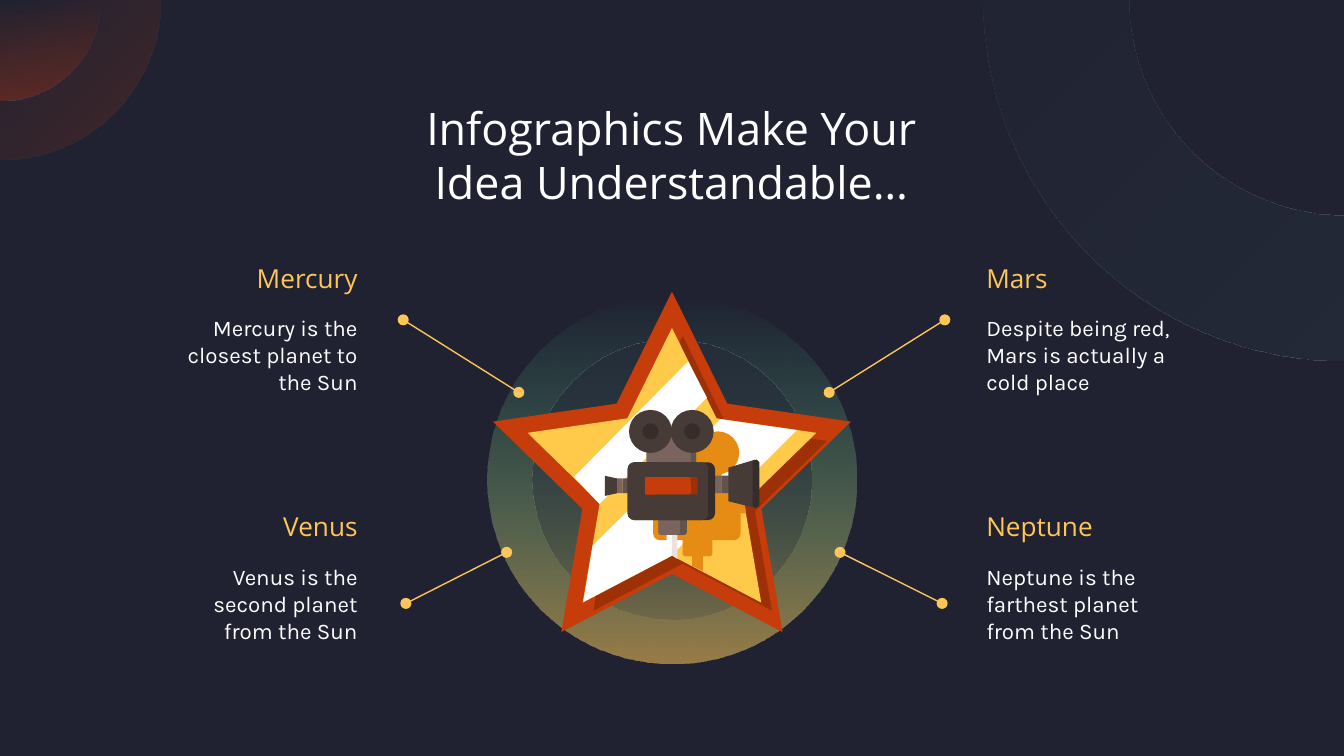
from dataclasses import dataclass
from math import cos, radians, sin

from lxml import etree
from pptx import Presentation
from pptx.dml.color import RGBColor
from pptx.enum.shapes import MSO_CONNECTOR, MSO_SHAPE
from pptx.enum.text import MSO_ANCHOR, MSO_AUTO_SIZE, PP_ALIGN
from pptx.oxml.ns import qn
from pptx.util import Inches, Pt

LEFT, CENTER, RIGHT = PP_ALIGN.LEFT, PP_ALIGN.CENTER, PP_ALIGN.RIGHT
TOP = MSO_ANCHOR.TOP
NO_AUTOSIZE = MSO_AUTO_SIZE.NONE
OVAL, RECTANGLE, ROUNDED = MSO_SHAPE.OVAL, MSO_SHAPE.RECTANGLE, MSO_SHAPE.ROUNDED_RECTANGLE
STRAIGHT = MSO_CONNECTOR.STRAIGHT

NIGHT, SLATE, WHITE, GOLD = "202231", "252C3A", "FFFFFF", "FEC659"
RUST, RED, DARK_RED = "9C3218", "C63C0A", "9E3007"
YELLOW, ORANGE = "FFC94A", "E68C14"
BROWN, DARK_BROWN, GREY, DARK_GREY = "473B37", "362C29", "7A655E", "63534D"

Points = list[tuple[float, float]]


@dataclass
class Planet:
    name: str
    fact: str
    align: PP_ALIGN
    top: float
    fact_left: float
    fact_width: float
    line_start: tuple[float, float]
    line_end: tuple[float, float]


@dataclass
class Block:
    kind: MSO_SHAPE
    left: float
    top: float
    right: float
    bottom: float
    color: str
    rounding: float = 0


PLANETS = [
    Planet("Mars", "Despite being red, Mars is actually a cold place",
           LEFT, 1.85, 7.24, 1.72, (7.03, 2.38), (6.17, 2.92)),
    Planet("Neptune", "Neptune is the farthest planet from the Sun",
           LEFT, 3.7, 7.24, 1.53, (7.01, 4.49), (6.25, 4.11)),
    Planet("Mercury", "Mercury is the closest planet to the Sun",
           RIGHT, 1.85, 1.13, 1.63, (3, 2.38), (3.86, 2.92)),
    Planet("Venus", "Venus is the second planet from the Sun",
           RIGHT, 3.7, 1.13, 1.63, (3.02, 4.49), (3.77, 4.11)),
]

CAMERA_SHADOW = [
    Block(OVAL, 4.87, 3.21, 5.19, 3.53, ORANGE),
    Block(OVAL, 5.18, 3.21, 5.5, 3.53, ORANGE),
    Block(RECTANGLE, 5, 3.37, 5.37, 3.6, ORANGE),
    Block(ROUNDED, 4.86, 3.59, 5.51, 4.02, ORANGE, 0.05),
    Block(ROUNDED, 4.68, 3.7, 4.9, 3.84, ORANGE, 0.01),
    Block(ROUNDED, 5.08, 3.98, 5.3, 4.14, ORANGE, 0.02),
]
CAMERA_MOUNT = [
    Block(ROUNDED, 4.9, 3.78, 5.11, 3.98, DARK_GREY, 0.02),
    Block(ROUNDED, 4.9, 3.78, 5.06, 3.98, GREY, 0.02),
    Block(RECTANGLE, 5.28, 3.54, 5.37, 3.67, GREY),
    Block(RECTANGLE, 5.37, 3.54, 5.45, 3.67, DARK_GREY),
    Block(RECTANGLE, 4.56, 3.56, 4.63, 3.67, GREY),
    Block(RECTANGLE, 4.63, 3.56, 4.72, 3.67, DARK_GREY),
    Block(RECTANGLE, 4.81, 3.23, 5.18, 3.47, GREY),
    Block(RECTANGLE, 5.14, 3.23, 5.18, 3.44, DARK_GREY),
]
CAMERA_BODY = [
    Block(ROUNDED, 4.67, 3.44, 5.32, 3.87, DARK_BROWN, 0.05),
    Block(ROUNDED, 4.67, 3.44, 5.27, 3.87, BROWN, 0.05),
    Block(ROUNDED, 4.8, 3.55, 5.19, 3.68, DARK_RED, 0.01),
    Block(ROUNDED, 4.8, 3.55, 5.14, 3.68, RED, 0.01),
]


def rgb(value: str) -> RGBColor:
    return RGBColor.from_string(value)


def paint(shape, color: str) -> None:
    shape.shadow.inherit = False
    shape.line.fill.background()
    shape.fill.solid()
    shape.fill.fore_color.rgb = rgb(color)


def fade(shape, stops: list[tuple[str, int]], angle: int) -> None:
    shape.shadow.inherit = False
    shape.line.fill.background()
    shape.fill.gradient()
    shape.fill.gradient_angle = 360 - angle
    for stop, position, (color, _) in zip(shape.fill.gradient_stops, (0, 1), stops):
        stop.position = position
        stop.color.rgb = rgb(color)
    tags = list(shape.element.spPr.iter(qn("a:srgbClr")))
    for tag, (_, opacity) in zip(tags, stops):
        etree.SubElement(tag, qn("a:alpha")).set("val", str(opacity * 1000))


def outline(page, points: Points):
    corners = [(Inches(x), Inches(y)) for x, y in points]
    builder = page.shapes.build_freeform(*corners[0])
    builder.add_line_segments(corners[1:], close=True)
    return builder.convert_to_shape()


def polygon(page, points: Points, color: str) -> None:
    paint(outline(page, points), color)


def arc(x: float, radius: float, start: int, end: int) -> Points:
    step = 1 if end > start else -1
    return [(x + radius * cos(radians(angle)), radius * sin(radians(angle)))
            for angle in range(start, end + step, step)]


def star(x: float, y: float, outer: float) -> Points:
    radii = (outer, outer / 2)
    return [(x + radii[i % 2] * sin(radians(36 * i)), y - radii[i % 2] * cos(radians(36 * i)))
            for i in range(10)]


def circle(page, x: float, y: float, radius: float):
    return page.shapes.add_shape(OVAL, Inches(x - radius), Inches(y - radius),
                                 Inches(2 * radius), Inches(2 * radius))


def draw_block(page, block: Block) -> None:
    width, height = block.right - block.left, block.bottom - block.top
    shape = page.shapes.add_shape(block.kind, Inches(block.left), Inches(block.top),
                                  Inches(width), Inches(height))
    if block.kind == ROUNDED:
        shape.adjustments[0] = block.rounding / min(width, height)
    paint(shape, block.color)


def write(box, text: str, font: str, size: int, color: str, align: PP_ALIGN) -> None:
    frame = box.text_frame
    frame.word_wrap = True
    frame.auto_size = NO_AUTOSIZE
    frame.vertical_anchor = TOP
    frame.margin_left = frame.margin_right = Inches(0.1)
    frame.margin_top = frame.margin_bottom = Inches(0.1)
    para = frame.paragraphs[0]
    para.text = text
    para.alignment = align
    para.line_spacing = 1.0
    para.font.name = font
    para.font.size = Pt(size)
    para.font.color.rgb = rgb(color)


def draw_planet(page, planet: Planet) -> None:
    name_left = 7.24 if planet.align == LEFT else 0.79
    name = page.shapes.add_textbox(Inches(name_left), Inches(planet.top), Inches(1.97), Inches(0.46))
    write(name, planet.name, "Open Sans", 14, GOLD, planet.align)
    fact = page.shapes.add_textbox(Inches(planet.fact_left), Inches(planet.top + 0.39),
                                   Inches(planet.fact_width), Inches(0.72))
    write(fact, planet.fact, "Karla", 12, WHITE, planet.align)
    ends = [Inches(value) for value in planet.line_start + planet.line_end]
    connector = page.shapes.add_connector(STRAIGHT, *ends)
    connector.line.color.rgb = rgb(GOLD)
    connector.line.width = Pt(0.75)
    for tag in ("a:headEnd", "a:tailEnd"):
        etree.SubElement(connector.get_or_add_ln(), qn(tag)).set("type", "oval")
    etree.SubElement(connector.element.spPr, qn("a:effectLst"))


def draw_backdrop(page) -> None:
    for radius, opacity, angle in ((1.19, 30, 225), (0.75, 42, 270)):
        corner = outline(page, [(0, 0)] + arc(0, radius, 0, 90))
        fade(corner, [(RUST, opacity), (RUST, 0)], angle)
    ring = outline(page, arc(10, 2.68, 180, 90) + arc(10, 1.6, 90, 180))
    fade(ring, [(SLATE, 75), (SLATE, 20)], 225)
    fade(circle(page, 5, 3.57, 1.37), [(GOLD, 55), ("4AFFC3", 0)], 270)
    fade(circle(page, 5, 3.57, 1.04), [(SLATE, 72), (SLATE, 16)], 90)


def draw_star(page) -> None:
    polygon(page, star(5, 3.57, 1.4), RED)
    polygon(page, star(5.08, 3.63, 1.13), DARK_RED)
    polygon(page, star(5, 3.57, 1.13), YELLOW)
    polygon(page, [(5.12, 2.69), (4.27, 3.55), (4.46, 3.75), (5.26, 2.96)], WHITE)
    polygon(page, [(5.36, 3.12), (4.41, 4.06), (4.34, 4.48), (4.99, 4.14), (5.93, 3.2)], WHITE)


def draw_camera(page) -> None:
    for block in CAMERA_SHADOW:
        draw_block(page, block)
    polygon(page, [(5.15, 4.1), (5.23, 4.1), (5.23, 4.25), (5.15, 4.21)], ORANGE)
    polygon(page, [(5.5, 3.69), (5.59, 3.69), (5.54, 3.74), (5.55, 3.82), (5.5, 3.82)], ORANGE)
    polygon(page, [(5.67, 3.62), (5.6, 3.64), (5.6, 3.68)], ORANGE)
    polygon(page, [(4.96, 3.95), (4.96, 4.15), (5, 4.13), (5, 3.95)], WHITE)
    polygon(page, [(5, 3.95), (5, 4.13), (5.04, 4.16), (5.04, 3.95)], "EBE2DF")
    for block in CAMERA_MOUNT:
        draw_block(page, block)
    polygon(page, [(4.5, 3.54), (4.59, 3.56), (4.59, 3.67), (4.5, 3.69)], BROWN)
    polygon(page, [(5.42, 3.48), (5.62, 3.42), (5.62, 3.78), (5.42, 3.73)], BROWN)
    polygon(page, [(5.6, 3.43), (5.63, 3.42), (5.65, 3.44), (5.65, 3.76), (5.63, 3.78),
                   (5.6, 3.77)], DARK_BROWN)
    for block in CAMERA_BODY:
        draw_block(page, block)
    for x in (4.84, 5.15):
        paint(circle(page, x, 3.21, 0.16), BROWN)
        paint(circle(page, x, 3.21, 0.06), DARK_BROWN)


def main() -> None:
    deck = Presentation()
    deck.slide_width, deck.slide_height = Inches(10), Inches(10 * 9 / 16)
    page = deck.slides.add_slide(deck.slide_layouts[5])
    page.background.fill.solid()
    page.background.fill.fore_color.rgb = rgb(NIGHT)
    draw_backdrop(page)
    title = page.shapes.title
    title.left, title.top, title.width, title.height = (Inches(v) for v in (2.89, 0.65, 4.21, 1.11))
    write(title, "Infographics Make Your Idea Understandable…", "Open Sans", 24, WHITE, CENTER)
    for planet in PLANETS:
        draw_planet(page, planet)
    draw_star(page)
    draw_camera(page)
    deck.save("out.pptx")


if __name__ == "__main__":
    main()
